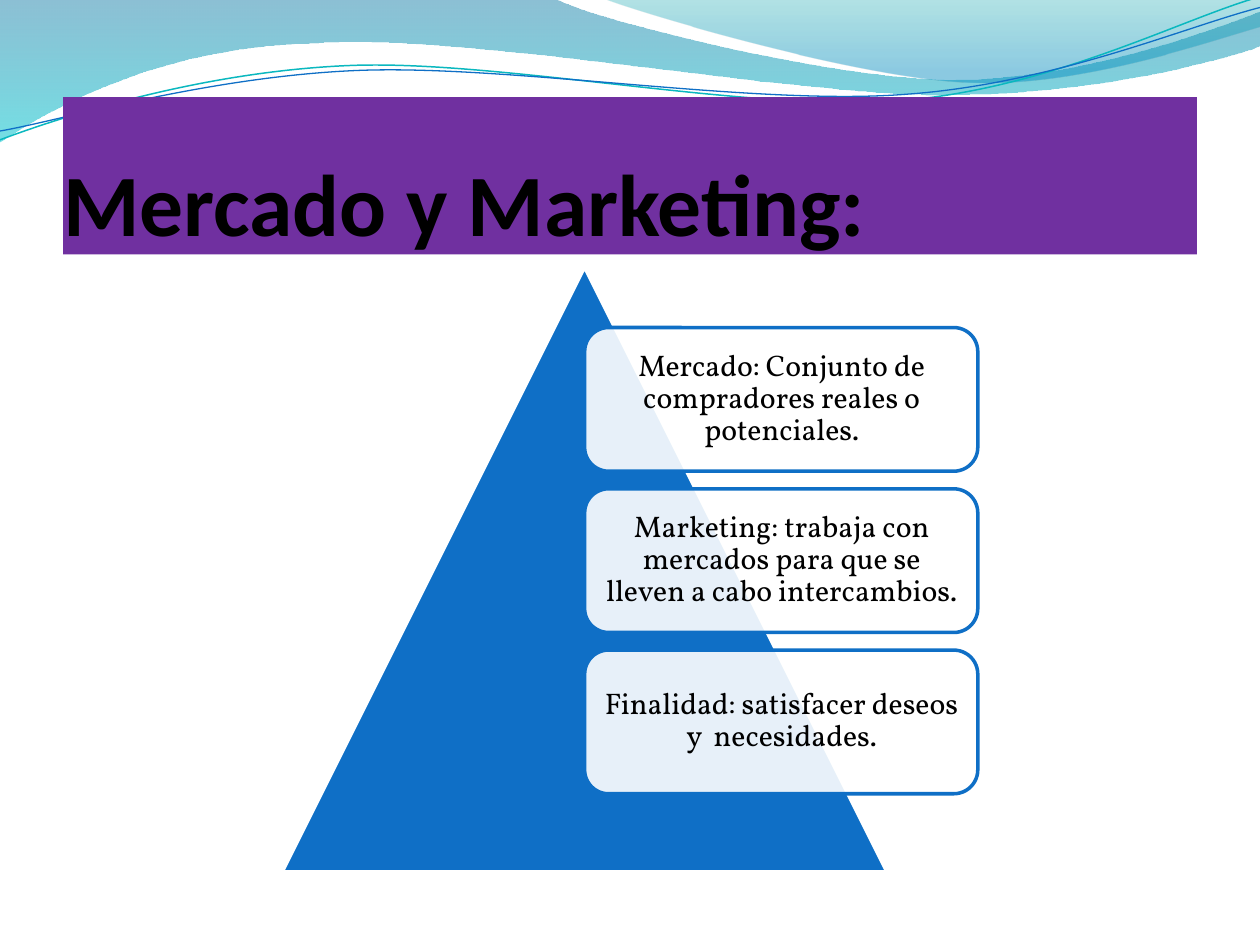
"""Build the market and marketing slide with its wave header and pyramid list."""
from dataclasses import dataclass
from math import cos, radians, sin
from typing import Optional

from lxml.etree import SubElement
from pptx import Presentation
from pptx.dml.color import RGBColor
from pptx.enum.shapes import MSO_SHAPE
from pptx.enum.text import MSO_ANCHOR, MSO_AUTO_SIZE, PP_ALIGN
from pptx.oxml.ns import qn
from pptx.util import Inches, Pt

COLORS = {
    "blue": "0F6FC6", "teal": "0AB8BF", "purple": "7030A0",
    "black": "000000", "white": "FFFFFF",
    "deep": "0074A1", "aqua": "00C6CF", "sea": "00A1A9", "sky": "008BBF",
}
COLUMNS, ROWS = 10, 7.5
CELL = Inches(10) / COLUMNS
Point = tuple[float, float]


@dataclass(frozen=True)
class Stop:
    color: str
    position: float
    opacity: int


@dataclass(frozen=True)
class Wave:
    """A chain of cubic curves (three points) and straight sides (one point)."""
    start: Point
    pieces: list[tuple[Point, ...]]
    stops: tuple[Stop, ...] = ()
    line: Optional[str] = None
    weight: float = 0
    center: Point = (0, 0)
    tilt: float = 0


WAVES = [
    Wave((0, 0), [
        ((4.4, -0.01),),
        ((4.76, 0.17), (6.64, 0.63), (7.58, 0.63)),
        ((8.53, 0.63), (9.58, 0.26), (10, 0.09)),
        ((10.01, 0.36),),
        ((9.83, 0.44), (8.7, 0.76), (7.46, 0.75)),
        ((6.22, 0.75), (3.82, 0.28), (2.57, 0.34)),
        ((1.29, 0.36), (0.46, 0.83), (-0.01, 1.13)),
        ((0, 0),),
    ], (Stop("deep", 0, 45), Stop("aqua", 1, 55))),
    Wave((4.79, -0.01), [
        ((5.09, 0.11), (6.82, 0.62), (7.69, 0.65)),
        ((8.56, 0.69), (9.61, 0.32), (10, 0.21)),
        ((10, 0),),
        ((4.79, -0.01),),
    ], (Stop("sea", 0, 30), Stop("sky", 0.8, 45))),
    Wave((0, 1.11), [
        ((0.48, 0.93), (1.58, 0.57), (2.77, 0.52)),
        ((3.95, 0.47), (5.93, 0.89), (7.13, 0.8)),
        ((8.33, 0.71), (9.38, 0.15), (9.98, -0.02)),
    ], line="teal", weight=0.85, center=(4.99, 0.57), tilt=-2.7),
    Wave((0, 1.04), [
        ((0.47, 0.96), (1.64, 0.61), (2.83, 0.56)),
        ((4.03, 0.51), (5.97, 0.84), (7.17, 0.75)),
        ((8.36, 0.67), (9.41, 0.21), (10, 0.06)),
    ], line="blue", weight=0.75, center=(5, 0.59), tilt=-2.7),
]
CARDS = [
    "Mercado: Conjunto de compradores reales o potenciales.",
    "Marketing: trabaja con mercados para que se lleven a cabo intercambios.",
    "Finalidad: satisfacer deseos y  necesidades.",
]
CARD_TOP, CARD_PITCH = 2.6, 1.28


def grid(*cells: float) -> list[int]:
    return [round(cell * CELL) for cell in cells]


def rgb(name: str) -> RGBColor:
    return RGBColor.from_string(COLORS[name])


def set_opacity(parent, percent: int) -> None:
    for color in parent.iter(qn("a:srgbClr")):
        SubElement(color, qn("a:alpha"), val=str(percent * 1000))


def level(point: Point, wave: Wave) -> list[int]:
    """Give the point's place before the wave is tilted about its center."""
    angle = radians(-wave.tilt)
    across, down = point[0] - wave.center[0], point[1] - wave.center[1]
    return grid(wave.center[0] + across * cos(angle) - down * sin(angle),
                wave.center[1] + across * sin(angle) + down * cos(angle))


def bend(shape, pieces: list[tuple[Point, ...]]) -> None:
    """Join each run of three straight segments into one cubic curve."""
    segments = iter(list(shape.element.iter(qn("a:lnTo"))))
    for piece in pieces:
        group = [next(segments) for _ in piece]
        if len(group) == 3:
            curve = group[0].makeelement(qn("a:cubicBezTo"))
            group[0].addprevious(curve)
            for segment in group:
                curve.append(segment[0])
                segment.getparent().remove(segment)


def draw_wave(page, wave: Wave) -> None:
    points = [level(point, wave) for piece in wave.pieces for point in piece]
    builder = page.shapes.build_freeform(*level(wave.start, wave))
    builder.add_line_segments(points, close=bool(wave.stops))
    shape = builder.convert_to_shape()
    bend(shape, wave.pieces)
    shape.rotation = wave.tilt
    shape.shadow.inherit = False
    if wave.line:
        shape.fill.background()
        shape.line.color.rgb = rgb(wave.line)
        shape.line.width = Pt(wave.weight)
        return
    shape.line.fill.background()
    shape.fill.gradient()
    shape.fill.gradient_angle = 270
    for target, stop in zip(shape.fill.gradient_stops, wave.stops):
        target.color.rgb = rgb(stop.color)
        target.position = stop.position
    for node, stop in zip(shape.element.iter(qn("a:gs")), wave.stops):
        set_opacity(node, stop.opacity)


def draw_shape(page, kind: MSO_SHAPE, place: list[int], fill: str, line: str):
    shape = page.shapes.add_shape(kind, *place)
    shape.shadow.inherit = False
    shape.fill.solid()
    shape.fill.fore_color.rgb = rgb(fill)
    shape.line.color.rgb = rgb(line)
    shape.line.width = Pt(2)
    return shape


def write(shape, text: str, anchor: MSO_ANCHOR, align: PP_ALIGN, margins: list[int],
          face: str, size: float, bold: bool = False):
    frame = shape.text_frame
    frame.text = text
    frame.word_wrap = True
    frame.auto_size = MSO_AUTO_SIZE.NONE
    frame.vertical_anchor = anchor
    frame.margin_left, frame.margin_top, frame.margin_right, frame.margin_bottom = margins
    para = frame.paragraphs[0]
    para.alignment = align
    font = para.runs[0].font
    font.name, font.size, font.bold = face, Pt(size), bold
    font.color.rgb = rgb("black")
    return para


def draw_title(page) -> None:
    title = page.shapes.title
    title.left, title.top, title.width, title.height = grid(0.5, 0.77, 9, 1.25)
    title.fill.solid()
    title.fill.fore_color.rgb = rgb("purple")
    write(title, "Mercado y Marketing:", MSO_ANCHOR.BOTTOM, PP_ALIGN.LEFT,
          grid(0, 0.05, 0, 0), "Calibri", 50, bold=True)
    title.element.getparent().append(title.element)


def draw_card(page, row: int, text: str) -> None:
    top = CARD_TOP + row * CARD_PITCH
    card = draw_shape(page, MSO_SHAPE.ROUNDED_RECTANGLE, grid(4.64, top, 3.12, 1.14),
                      "white", "blue")
    set_opacity(card.element.spPr.find(qn("a:solidFill")), 90)
    box = page.shapes.add_textbox(*grid(4.7, top + 0.05, 3.01, 1.03))
    para = write(box, text, MSO_ANCHOR.MIDDLE, PP_ALIGN.CENTER,
                 grid(0.07, 0.07, 0.07, 0.07), "Vollkorn", 17)
    para.line_spacing = 0.9


def main() -> None:
    deck = Presentation()
    deck.slide_width, deck.slide_height = grid(COLUMNS, ROWS)
    page = deck.slides.add_slide(deck.slide_layouts[5])
    for wave in WAVES:
        draw_wave(page, wave)
    draw_title(page)
    draw_shape(page, MSO_SHAPE.ISOSCELES_TRIANGLE, grid(2.24, 2.12, 4.8, 4.8), "blue", "white")
    for row, text in enumerate(CARDS):
        draw_card(page, row, text)
    deck.save("out.pptx")


if __name__ == "__main__":
    main()
